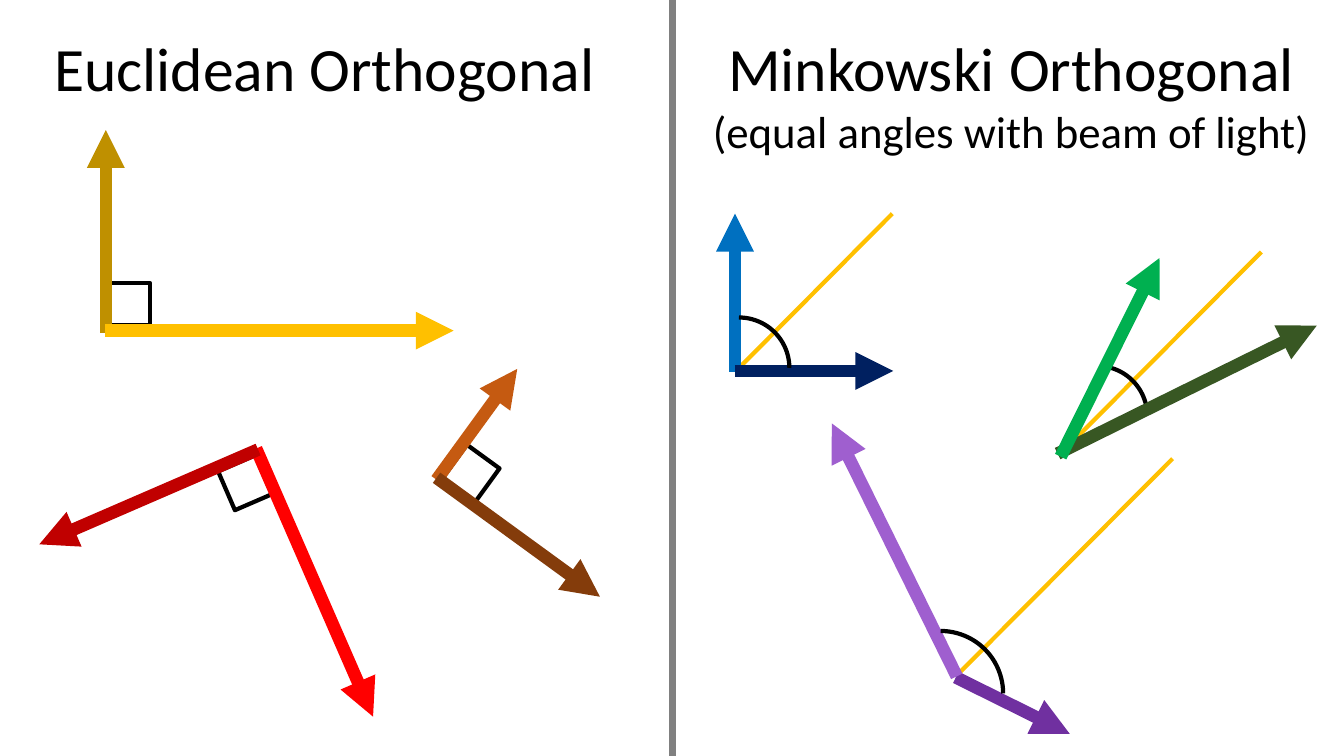
from lxml import etree
from pptx import Presentation
from pptx import util as u
from pptx.dml import color
from pptx.enum import shapes, text
from pptx.oxml import ns

BLACK = "000000"
BEAM_COLOR = "FFC000"
FONT = "Calibri"

beams = [
    ((9.5, 6.69), (11.63, 4.55)),
    ((10.59, 4.43), (12.51, 2.5)),
    ((7.33, 3.65), (8.85, 2.12)),
]
divider = ((6.67, 0), (6.67, 7.5))
headings = [
    ((0.44, 0.25, 5.69, 0.84), "LEFT", [("Euclidean Orthogonal", 44)]),
    ((6.73, 0.25, 6.6, 1.38), "CENTER",
     [("Minkowski Orthogonal", 44), ("(equal angles with beam of light)", 32)]),
]

green_pair = [
    ("arc", (10.38, 3.63), 1, (168.79, 209.02)),
    ("arrow", (10.49, 4.5), (13.06, 3.23), "385723"),
    ("arrow", (10.52, 4.53), (11.5, 2.56), "00B050"),
]
gold_pair = [
    ("corner", (1.09, 2.81), 0),
    ("arrow", (1.05, 3.3), (1.05, 1.29), "BF9000"),
    ("arrow", (1.04, 3.28), (4.5, 3.28), "FFC000"),
]
brown_pair = [
    ("corner", (4.47, 4.49), 36),
    ("arrow", (4.33, 4.76), (5.13, 3.66), "C55A11"),
    ("arrow", (4.33, 4.74), (5.95, 5.92), "843C0B"),
]
red_pair = [
    ("corner", (2.23, 4.58), 156.6),
    ("arrow", (2.54, 4.45), (3.7, 7.11), "FF0000"),
    ("arrow", (2.56, 4.46), (0.39, 5.4), "C00000"),
]
blue_pair = [
    ("arrow", (7.29, 3.69), (7.29, 2.12), "0070C0"),
    ("arrow", (7.29, 3.68), (8.86, 3.68), "002060"),
    ("arc", (6.83, 3.15), 1, (162, 0)),
]
purple_pair = [
    ("arrow", (9.48, 6.72), (10.61, 7.28), "7030A0"),
    ("arrow", (9.49, 6.71), (8.25, 4.2), "9F5FCF"),
    ("arc", (8.71, 6.26), 1.24, (162, 0)),
]

deck = Presentation()
deck.slide_width, deck.slide_height = u.Inches(13.33), u.Inches(7.5)
slide = deck.slides.add_slide(deck.slide_layouts[6])


def paint(target, hex_color):
    target.rgb = color.RGBColor.from_string(hex_color)


def draw_line(parent, start, end, hex_color, width):
    points = [u.Inches(v) for v in (*start, *end)]
    line = parent.add_connector(shapes.MSO_CONNECTOR.STRAIGHT, *points)
    paint(line.line.color, hex_color)
    line.line.width = u.Pt(width)
    etree.SubElement(line._element.spPr, ns.qn("a:effectLst"))
    return line


def draw_arrow(parent, start, end, hex_color):
    arrow = draw_line(parent, start, end, hex_color, 9)
    head = etree.SubElement(arrow.line._get_or_add_ln(), ns.qn("a:tailEnd"))
    head.set("type", "triangle")


def draw_mark(parent, preset, corner, size):
    mark = parent.add_shape(preset, *[u.Inches(v) for v in (*corner, *size)])
    mark.shadow.inherit = False
    mark.fill.background()
    paint(mark.line.color, BLACK)
    mark.line.width = u.Pt(3)
    return mark


def draw_corner(parent, corner, rotation):
    mark = draw_mark(parent, shapes.MSO_SHAPE.RECTANGLE, corner, (0.4, 0.42))
    mark.rotation = rotation


def draw_arc(parent, corner, diameter, angles):
    mark = draw_mark(parent, shapes.MSO_SHAPE.ARC, corner, (diameter, diameter))
    for i, angle in enumerate(angles):
        mark.adjustments[i] = angle


def draw_pair(parts):
    pair = slide.shapes.add_group_shape().shapes
    draw = {"arrow": draw_arrow, "corner": draw_corner, "arc": draw_arc}
    for kind, *details in parts:
        draw[kind](pair, *details)


def draw_heading(place, align, lines):
    frame = slide.shapes.add_textbox(*[u.Inches(v) for v in place]).text_frame
    frame.word_wrap = True
    frame.auto_size = text.MSO_AUTO_SIZE.SHAPE_TO_FIT_TEXT
    for i, (words, size) in enumerate(lines):
        paragraph = frame.add_paragraph() if i else frame.paragraphs[0]
        paragraph.alignment = text.PP_ALIGN[align]
        run = paragraph.add_run()
        run.text = words
        for name, value in {"name": FONT, "size": u.Pt(size)}.items():
            setattr(run.font, name, value)
        paint(run.font.color, BLACK)


for beam in beams:
    draw_line(slide.shapes, *beam, BEAM_COLOR, 3)
draw_line(slide.shapes, *divider, "808080", 4.5)
for heading in headings:
    draw_heading(*heading)
for pair_parts in (green_pair, gold_pair, brown_pair, red_pair, blue_pair, purple_pair):
    draw_pair(pair_parts)

deck.save("out.pptx")
